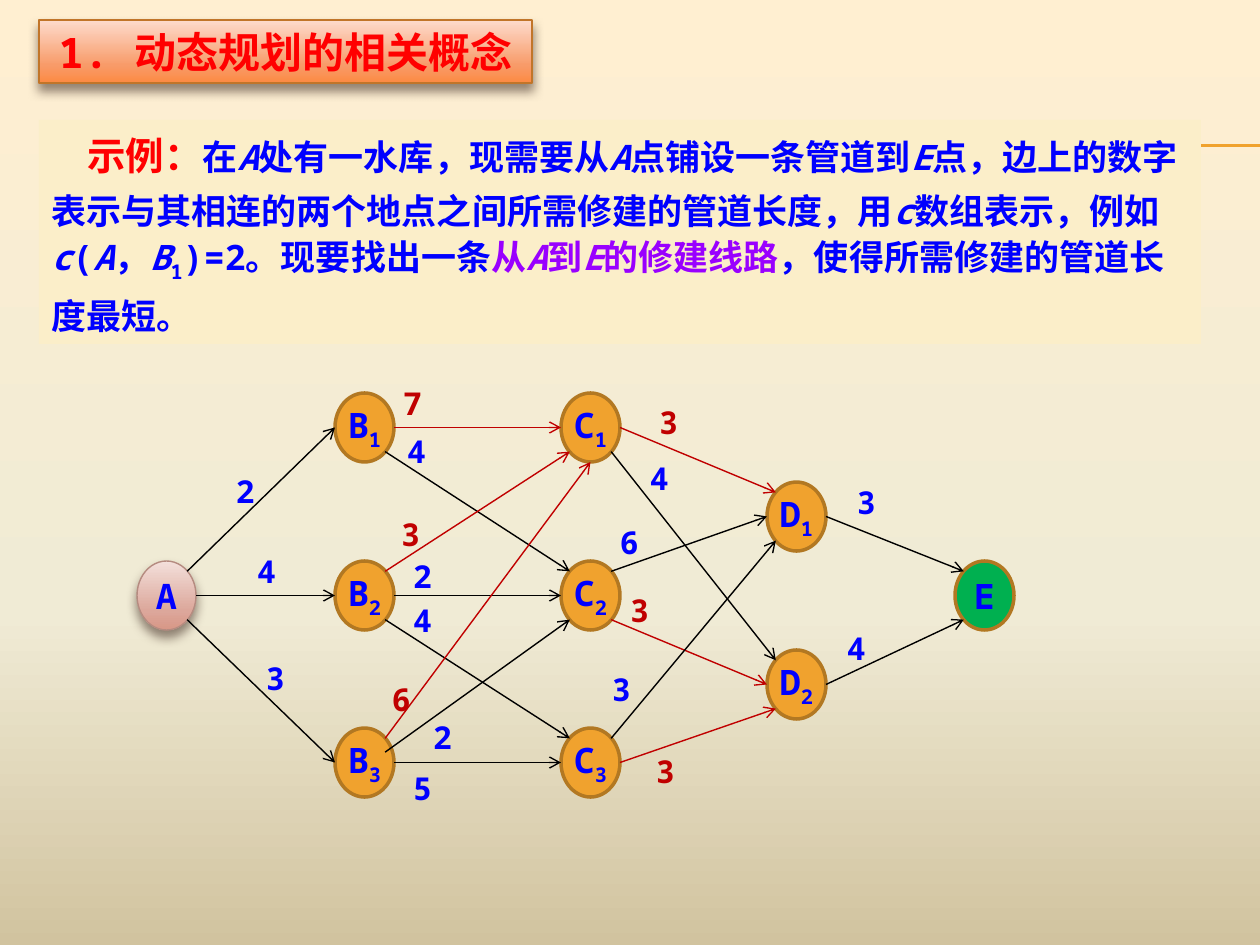
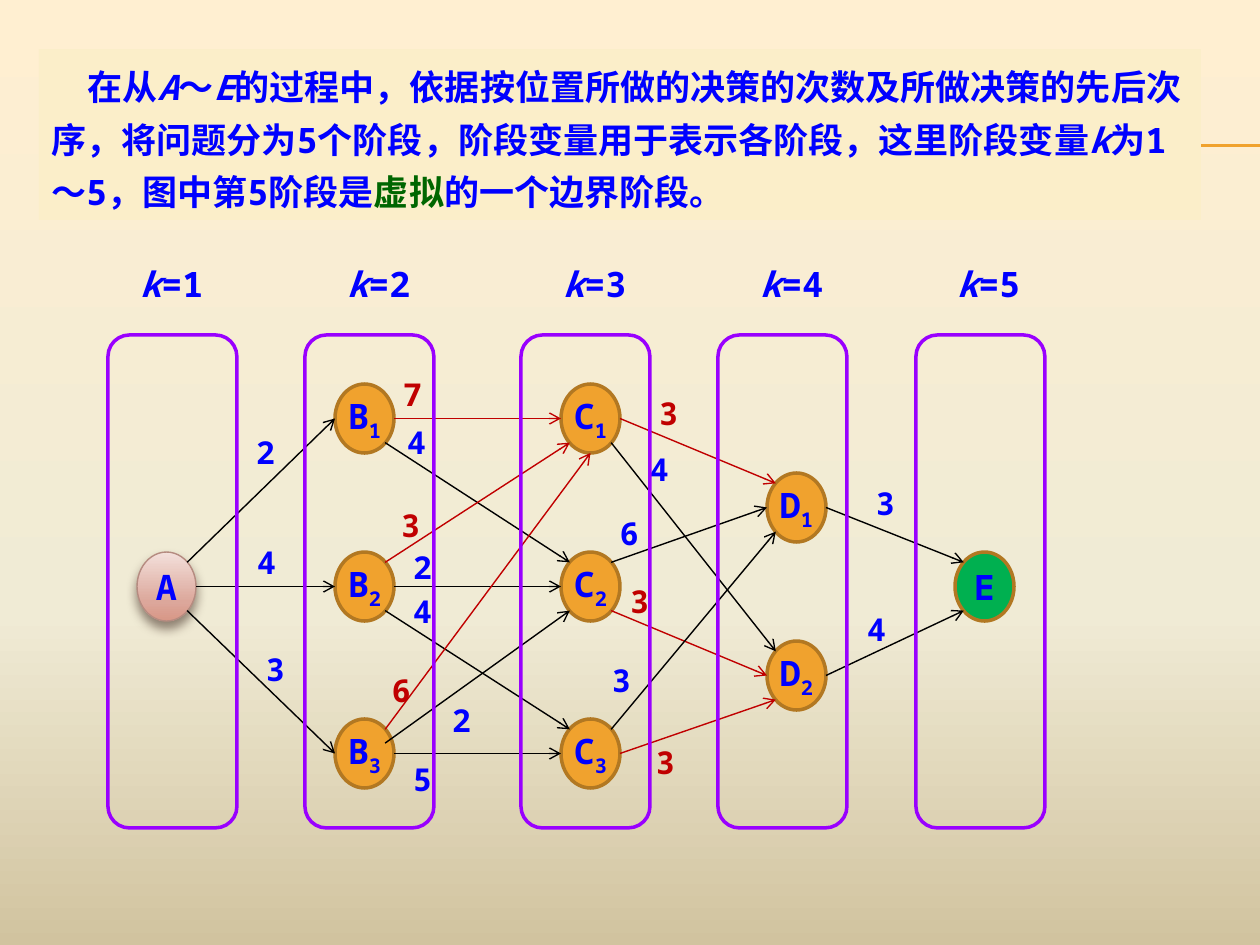
from copy import deepcopy
from dataclasses import dataclass
from typing import NamedTuple

from lxml import etree
from pptx import Presentation
from pptx.dml.color import RGBColor
from pptx.enum.shapes import MSO_CONNECTOR, MSO_SHAPE
from pptx.enum.text import MSO_ANCHOR, MSO_AUTO_SIZE, PP_ALIGN
from pptx.oxml.ns import qn
from pptx.util import Emu, Pt

STRAIGHT = MSO_CONNECTOR.STRAIGHT
RECTANGLE, ROUNDED, ELLIPSE = MSO_SHAPE.RECTANGLE, MSO_SHAPE.ROUNDED_RECTANGLE, MSO_SHAPE.OVAL
LEFT, CENTER = PP_ALIGN.LEFT, PP_ALIGN.CENTER
TOP, MIDDLE = MSO_ANCHOR.TOP, MSO_ANCHOR.MIDDLE
FIXED_SIZE = MSO_AUTO_SIZE.NONE

PX_PER_INCH = 126
FONT = "Noto Sans Mono"
THIN, THICK = 0.79, 2

BLACK = RGBColor(0x00, 0x00, 0x00)
BLUE = RGBColor(0x00, 0x00, 0xFF)
RED = RGBColor(0xFF, 0x00, 0x00)
DARK_RED = RGBColor(0xC0, 0x00, 0x00)
PURPLE = RGBColor(0x99, 0x00, 0xFF)
DARK_GREEN = RGBColor(0x00, 0x66, 0x00)
GREEN = RGBColor(0x00, 0xB0, 0x50)
ORANGE = RGBColor(0xF0, 0xA2, 0x2E)
NODE_EDGE = RGBColor(0xB2, 0x78, 0x22)
START_EDGE = RGBColor(0xB5, 0x8B, 0x80)
TITLE_EDGE = RGBColor(0xC1, 0x75, 0x29)
CREAM = RGBColor(0xFB, 0xEE, 0xC9)
SHADOW = RGBColor(0x4E, 0x3B, 0x30)

PAGE_STOPS = ((0, RGBColor(0xFF, 0xEF, 0xD1)), (0.65, RGBColor(0xF0, 0xEB, 0xD5)),
              (1, RGBColor(0xD1, 0xC3, 0x9F)))
TITLE_STOPS = ((0, RGBColor(0xFD, 0xDB, 0xCC)), (0.72, RGBColor(0xF8, 0x9B, 0x69)),
               (1, RGBColor(0xFC, 0x8A, 0x43)))
START_STOPS = ((0, RGBColor(0xF3, 0xE0, 0xDB)), (0.72, RGBColor(0xDC, 0xA7, 0x9B)),
               (1, RGBColor(0xD8, 0x97, 0x87)))


class Box(NamedTuple):
    x: int
    y: int
    w: int
    h: int


class Span(NamedTuple):
    text: str
    color: RGBColor = BLUE
    italic: bool = False
    size: int = 20
    subscript: bool = False


@dataclass(frozen=True)
class Pipe:
    start: str
    start_port: str
    end: str
    end_port: str
    length: str
    label_x: int
    label_y: int
    color: RGBColor = BLACK


NODE_W, NODE_H = 59, 69
NODES = {
    "A": (137, 561),
    "B1": (335, 393), "B2": (335, 561), "B3": (335, 728),
    "C1": (561, 393), "C2": (561, 561), "C3": (561, 728),
    "D1": (767, 482), "D2": (767, 650),
    "E": (955, 561),
}
# Attachment points as fractions of a node's width and height
PORTS = {
    "e": (1, 0.5), "w": (0, 0.5), "s": (0.5, 1),
    "ne": (0.85, 0.15), "se": (0.85, 0.85), "nw": (0.15, 0.15), "sw": (0.15, 0.85),
    "ne_low": (0.85, 0.35),
}
PIPES = (
    Pipe("A", "ne", "B1", "w", "2", 236, 472),
    Pipe("A", "e", "B2", "w", "4", 257, 552),
    Pipe("A", "se", "B3", "w", "3", 266, 659),
    Pipe("B1", "e", "C1", "w", "7", 403, 384, DARK_RED),
    Pipe("B1", "se", "C2", "nw", "4", 407, 432),
    Pipe("B2", "ne", "C1", "sw", "3", 401, 515, DARK_RED),
    Pipe("B2", "e", "C2", "w", "2", 413, 557),
    Pipe("B2", "se", "C3", "nw", "4", 413, 601),
    Pipe("B3", "ne", "C1", "s", "6", 392, 680, DARK_RED),
    Pipe("B3", "ne_low", "C2", "sw", "2", 433, 718),
    Pipe("B3", "e", "C3", "w", "5", 413, 769),
    Pipe("C1", "e", "D1", "nw", "3", 659, 403, DARK_RED),
    Pipe("C1", "se", "D2", "nw", "4", 650, 459),
    Pipe("C2", "ne", "D1", "w", "6", 620, 523),
    Pipe("C2", "se", "D2", "w", "3", 630, 591, DARK_RED),
    Pipe("C3", "ne", "D1", "sw", "3", 612, 670),
    Pipe("C3", "e", "D2", "sw", "3", 656, 752, DARK_RED),
    Pipe("D1", "e", "E", "nw", "3", 857, 483),
    Pipe("D2", "e", "E", "sw", "4", 847, 629),
)
# Lengths that stand elsewhere to stay clear of the stage frames
STAGED_LABELS = {("A", "B1"): (256, 433), ("B3", "C2"): (452, 701),
                 ("D1", "E"): (876, 484), ("D2", "E"): (867, 610)}
STAGE_SHIFT = -9
# Left edges of each stage frame and of its caption
STAGES = ((108, 128), (305, 335), (521, 551), (718, 748), (916, 945))

EXAMPLE = (
    Span("示例：", RED, size=22), Span("在"), Span("A", italic=True),
    Span("处有一水库，现需要从"), Span("A", italic=True), Span("点铺设一条管道到"),
    Span("E", italic=True),
    Span("点，边上的数字表示与其相连的两个地点之间所需修建的管道长度，用"),
    Span("c", italic=True), Span("数组表示，例如"), Span("c", italic=True), Span("("),
    Span("A", italic=True), Span("，"), Span("B", italic=True), Span("1", subscript=True),
    Span(")=2。现要找出一条"), Span("从", PURPLE), Span("A", PURPLE, True),
    Span("到", PURPLE), Span("E", PURPLE, True), Span("的修建线路", PURPLE),
    Span("，使得所需修建的管道长度最短。"),
)
STAGE_NOTE = (
    Span("在从"), Span("A", italic=True), Span("～"), Span("E", italic=True),
    Span("的过程中，依据按位置所做的决策的次数及所做决策的先后次序，将问题分为5个阶段，"
         "阶段变量用于表示各阶段，这里阶段变量"),
    Span("k", italic=True), Span("为1～5，图中第5阶段是"), Span("虚拟", DARK_GREEN),
    Span("的一个边界阶段。"),
)


def px(length: float) -> Emu:
    return Emu(round(length * 914400 / PX_PER_INCH))


def emu(box: Box) -> list[Emu]:
    return [px(length) for length in box]


def fill_gradient(owner, fill, stops) -> None:
    """Give fill, held in owner's XML, three stops running downwards."""
    fill.gradient()
    fill.gradient_angle = 270
    stop_list = next(owner.element.iter(qn("a:gsLst")))
    stop_list.append(deepcopy(stop_list[0]))
    for stop, (position, color) in zip(fill.gradient_stops, stops):
        stop.position = position
        stop.color.rgb = color


def outline(shape, color: RGBColor, width: float) -> None:
    shape.line.color.rgb = color
    shape.line.width = Pt(width)


def cast_shadow(shape) -> None:
    shape.shadow.inherit = False
    effects = shape.element.spPr.find(qn("a:effectLst"))
    outer = etree.SubElement(effects, qn("a:outerShdw"), blurRad="76200", dist="50800",
                             dir="5400000", algn="ctr", rotWithShape="0")
    tint = etree.SubElement(outer, qn("a:srgbClr"), val=str(SHADOW))
    etree.SubElement(tint, qn("a:alpha"), val="60000")


def style_run(run, span: Span) -> None:
    run.font.name = FONT
    run.font.size = Pt(span.size)
    run.font.bold = True
    run.font.italic = span.italic
    run.font.color.rgb = span.color
    properties = run._r.get_or_add_rPr()
    etree.SubElement(properties, qn("a:ea"), typeface=FONT)
    if span.subscript:
        properties.set("baseline", "-25000")


def write(shape, spans, align=LEFT, anchor=TOP, wrap=False, inset=None):
    frame = shape.text_frame
    frame.word_wrap = wrap
    frame.auto_size = FIXED_SIZE
    frame.vertical_anchor = anchor
    if inset is not None:
        frame.margin_left = frame.margin_right = px(inset)
        frame.margin_top = frame.margin_bottom = px(inset)
    paragraph = frame.paragraphs[0]
    paragraph.alignment = align
    for span in spans:
        run = paragraph.add_run()
        run.text = span.text
        style_run(run, span)
    return paragraph


def add_line(slide, start, end, color: RGBColor, width: float, arrow: bool = False) -> None:
    line = slide.shapes.add_connector(STRAIGHT, *map(px, (*start, *end)))
    outline(line, color, width)
    properties = line.element.spPr
    if arrow:
        etree.SubElement(properties.find(qn("a:ln")), qn("a:tailEnd"), type="arrow")
    etree.SubElement(properties, qn("a:effectLst"))


def add_slide(prs, layout_name: str):
    slide = prs.slides.add_slide(prs.slide_layouts.get_by_name(layout_name))
    for y in (145, 146):
        add_line(slide, (71, y), (1260, y), ORANGE, 0.75)
    return slide


def add_title(slide, text: str) -> None:
    title = slide.shapes.title
    title.left, title.top, title.width, title.height = emu(Box(39, 20, 493, 63))
    fill_gradient(title, title.fill, TITLE_STOPS)
    outline(title, TITLE_EDGE, THIN)
    cast_shadow(title)
    write(title, [Span(text, RED, size=24)], CENTER, MIDDLE)


def add_description(slide, box: Box, spans) -> None:
    panel = slide.shapes.add_shape(RECTANGLE, *emu(box))
    panel.shadow.inherit = False
    panel.fill.solid()
    panel.fill.fore_color.rgb = CREAM
    panel.line.fill.background()
    paragraph = write(panel, spans, wrap=True)
    paragraph.line_spacing = Pt(30)
    paragraph._p.get_or_add_pPr().set("indent", str(px(36)))


def add_node(slide, name: str, x: int, y: int) -> None:
    node = slide.shapes.add_shape(ELLIPSE, *emu(Box(x, y, NODE_W, NODE_H)))
    if name == "A":
        fill_gradient(node, node.fill, START_STOPS)
        outline(node, START_EDGE, THIN)
        cast_shadow(node)
    else:
        node.shadow.inherit = False
        node.fill.solid()
        node.fill.fore_color.rgb = GREEN if name == "E" else ORANGE
        outline(node, NODE_EDGE, THICK)
    spans = [Span(name[0])] + [Span(digit, subscript=True) for digit in name[1:]]
    write(node, spans, CENTER, MIDDLE, inset=0)


def port_at(name: str, port: str, shift: int) -> tuple[float, float]:
    (x, y), (across, down) = NODES[name], PORTS[port]
    return x + across * NODE_W, y + down * NODE_H + shift


def add_network(slide, shift: int = 0, moved_labels=None) -> None:
    moved_labels = moved_labels or {}
    for name, (x, y) in NODES.items():
        add_node(slide, name, x, y + shift)
    for pipe in PIPES:
        add_line(slide, port_at(pipe.start, pipe.start_port, shift),
                 port_at(pipe.end, pipe.end_port, shift), pipe.color, THIN, arrow=True)
    for pipe in PIPES:
        x, y = moved_labels.get((pipe.start, pipe.end), (pipe.label_x, pipe.label_y + shift))
        label = slide.shapes.add_textbox(*emu(Box(x, y, 29, 38)))
        color = BLUE if pipe.color == BLACK else pipe.color
        write(label, [Span(pipe.length, color, size=18)], wrap=True, inset=0)


def add_stages(slide) -> None:
    for k, (frame_x, caption_x) in enumerate(STAGES, start=1):
        frame = slide.shapes.add_shape(ROUNDED, *emu(Box(frame_x, 335, 129, 493)))
        frame.shadow.inherit = False
        frame.fill.background()
        outline(frame, PURPLE, THICK)
        caption = slide.shapes.add_textbox(*emu(Box(caption_x, 256, 88, 55)))
        write(caption, [Span("k", italic=True), Span(f"={k}")])


def main() -> None:
    prs = Presentation()
    prs.slide_width, prs.slide_height = px(1260), px(945)
    master = prs.slide_master
    fill_gradient(master, master.background.fill, PAGE_STOPS)

    concepts = add_slide(prs, "Title Only")
    add_title(concepts, "1. 动态规划的相关概念")
    add_network(concepts)
    add_description(concepts, Box(39, 120, 1162, 224), EXAMPLE)

    staged = add_slide(prs, "Blank")
    add_network(staged, STAGE_SHIFT, STAGED_LABELS)
    add_description(staged, Box(39, 49, 1162, 171), STAGE_NOTE)
    add_stages(staged)

    prs.save("out.pptx")


if __name__ == "__main__":
    main()
